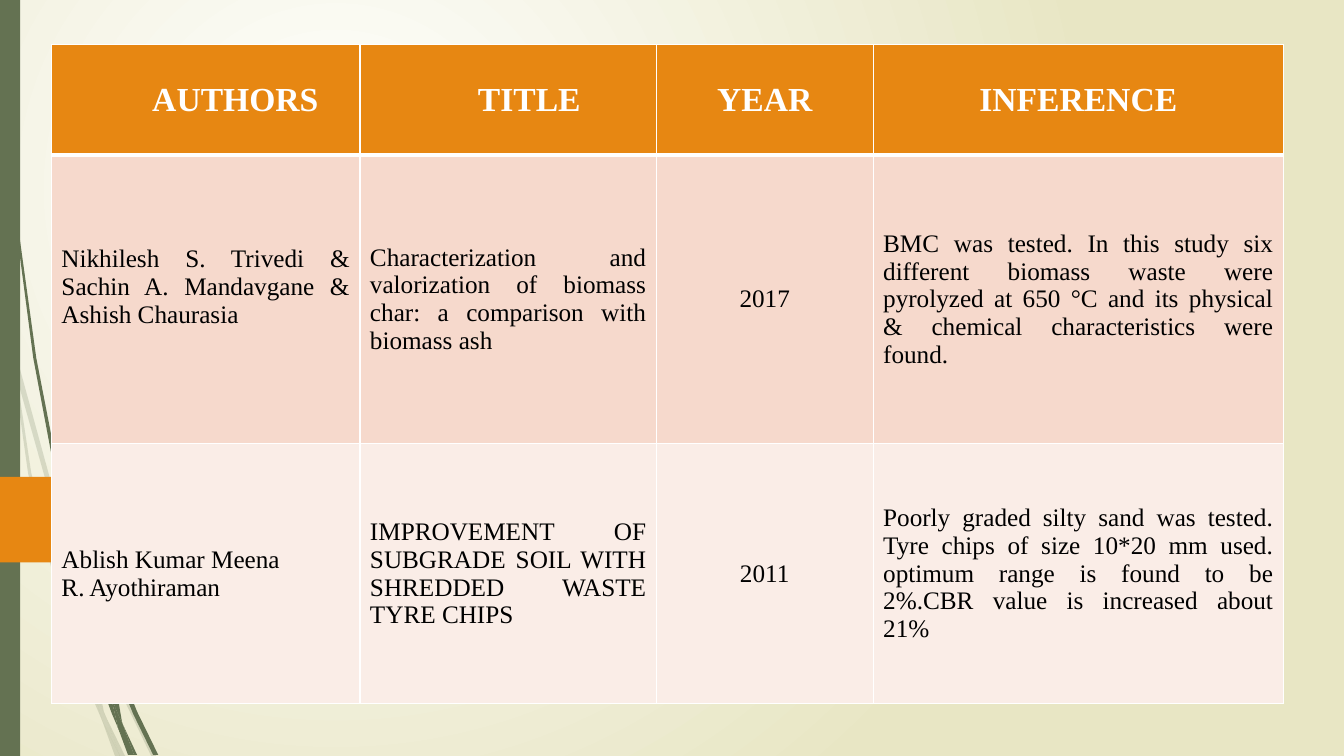
from dataclasses import dataclass

from lxml import etree
from pptx import Presentation
from pptx.dml.color import RGBColor
from pptx.enum.shapes import MSO_SHAPE
from pptx.enum.text import MSO_ANCHOR, PP_ALIGN
from pptx.oxml.ns import qn
from pptx.util import Inches, Pt

RECT = MSO_SHAPE.RECTANGLE
MIDDLE = MSO_ANCHOR.MIDDLE
CENTER, LEFT, JUSTIFY = PP_ALIGN.CENTER, PP_ALIGN.LEFT, PP_ALIGN.JUSTIFY

WHITE = RGBColor(0xFF, 0xFF, 0xFF)
BLACK = RGBColor(0, 0, 0)
CREAM = RGBColor(0xE8, 0xE6, 0xC4)
GREEN = RGBColor(0x64, 0x72, 0x52)
ORANGE = RGBColor(0xE7, 0x87, 0x12)
PEACH = RGBColor(0xF6, 0xD9, 0xCC)
BLUSH = RGBColor(0xFA, 0xED, 0xE7)

COLS = (3.06, 2.94, 2.15, 4.07)
ROWS = (1.1, 2.86, 2.58)
FILLS = (ORANGE, PEACH, BLUSH)
HEAD = {"name": "Times New Roman", "size": Pt(24), "bold": True}
BODY = {"name": "Times New Roman", "size": Pt(18), "bold": False}

PALE = (
    "0.11,3.5 0.09,3.22 0,2.82 0,2.99 0.1,3.44",
    "0.58,5.22 0.84,5.99 0.85,5.86 0.62,5.2 0.14,3.45 0.17,3.76",
    "0.92,6.07 0.88,5.96 0.88,6.1 1.23,6.94 1.5,7.5 1.55,7.5 1.27,6.92",
    "1.19,7.5 1.24,7.5 1.05,7.11",
    "0.93,6.83 0.7,6.19 0.31,4.69 0.17,3.76 0.11,3.5 0.28,4.7 0.65,6.21 0.92,6.93 1.01,7.14 0.99,7.07",
    "0.84,5.99 0.87,6.46 0.93,6.83 0.96,6.92 1.05,7.11 1.03,7.06 0.91,6.46 0.88,6.1 0.88,6.08",
    "0.88,5.84 1.1,4.62 1.6,3.49 2.29,2.45 2.68,1.98 2.9,1.75 3.12,1.54 3.12,1.53 "
    "2.89,1.75 2.68,1.97 2.28,2.44 1.58,3.48 1.07,4.61 0.85,5.84 0.85,5.86 0.88,5.96",
    "1.01,7.14 1.14,7.5 1.19,7.5",
    "0.88,6.08 0.88,6.1 0.88,5.96 0.85,5.86 0.84,5.99",
    "0.96,6.92 0.93,6.83 0.99,7.07 1.01,7.14 1.19,7.5 1.05,7.11",
)
DARK = (
    "0.07,1.1 0.17,2.33 0.33,3.55 0.56,4.77 0.57,4.81 0.55,4.57 0.55,4.53 0.36,3.55 "
    "0.19,2.32 0.08,1.09 0.05,0.48 0.04,0 0.03,0 0.04,0.48",
    "0.88,5.92 1.06,6.45 1.06,6.33 1.06,6.31 0.93,5.9 0.6,4.72 0.64,5.05",
    "1.13,6.49 1.1,6.41 1.11,6.56 1.32,7.08 1.52,7.49 1.57,7.49 1.36,7.06",
    "1.1,6.91 0.98,6.57 0.72,5.56 0.64,5.05 0.57,4.77 0.68,5.57 0.93,6.59 1.11,7.08 1.17,7.22 1.16,7.17",
    "0.6,4.72 0.58,4.53 0.54,3.49 0.58,2.45 0.63,1.93 0.7,1.41 0.62,1.93 0.56,2.45 0.52,3.49 0.55,4.49",
    "1.33,7.49 1.36,7.49 1.22,7.19",
    "0.57,4.77 0.64,5.05 0.6,4.72 0.55,4.49 0.55,4.53",
    "1.11,6.33 1.25,5.52 1.58,4.76 2.05,4.06 2.31,3.74 2.45,3.59 2.61,3.44 2.6,3.44 "
    "2.45,3.58 2.31,3.73 2.04,4.05 1.56,4.74 1.22,5.51 1.06,6.31 1.1,6.41",
    "1.17,7.22 1.27,7.49 1.31,7.49",
    "1.06,6.45 1.1,6.91 1.16,7.06 1.22,7.19 1.21,7.16 1.11,6.56 1.09,6.51",
    "1.06,6.45 1.09,6.51 1.11,6.56 1.1,6.41 1.06,6.31 1.06,6.33",
    "1.16,7.06 1.1,6.91 1.16,7.17 1.17,7.22 1.3,7.49 1.33,7.49 1.22,7.19",
)
ARROW = "1.47,5.58 1.51,5.56 1.9,5.17 1.91,5.15 1.9,5.13 1.51,4.74 1.47,4.73 0,4.73 0,5.58"


@dataclass
class Entry:
    text: str
    align: PP_ALIGN = JUSTIFY
    indent: float = 0
    foot: float = 0.05


GRID = (
    (Entry("AUTHORS", LEFT, 0.9), Entry("TITLE", LEFT, 1.07), Entry("YEAR", CENTER), Entry("INFERENCE", CENTER)),
    (Entry("Nikhilesh S. Trivedi & Sachin A. Mandavgane & Ashish Chaurasia", foot=0.29),
     Entry("Characterization and valorization of biomass char: a comparison with biomass ash"),
     Entry("2017", CENTER),
     Entry("BMC was tested. In this study six different biomass waste were pyrolyzed at 650 °C "
           "and its physical & chemical characteristics were found.")),
    (Entry("Ablish Kumar Meena\nR. Ayothiraman"),
     Entry("IMPROVEMENT OF SUBGRADE SOIL WITH SHREDDED WASTE TYRE CHIPS"),
     Entry("2011", CENTER),
     Entry("Poorly graded silty sand was tested. Tyre chips of size 10*20 mm used. "
           "optimum range is found to be 2%.CBR value is increased about 21%")),
)


def paint(shape, color: RGBColor, alpha: int = 100) -> None:
    shape.shadow.inherit = False
    shape.fill.solid()
    shape.fill.fore_color.rgb = color
    shape.line.fill.background()
    if alpha < 100:
        tone = shape._element.spPr.find(qn("a:solidFill")).find(qn("a:srgbClr"))
        etree.SubElement(tone, qn("a:alpha"), val=str(alpha * 1000))


def draw_form(slide, data: str, color: RGBColor, alpha: int = 100) -> None:
    dots = [tuple(Inches(float(num)) for num in pair.split(",")) for pair in data.split()]
    pen = slide.shapes.build_freeform(*dots[0])
    pen.add_line_segments(dots[1:], close=True)
    paint(pen.convert_to_shape(), color, alpha)


def draw_back(slide) -> None:
    fill = slide.background.fill
    fill.gradient()
    for stop, color in zip(fill.gradient_stops, (WHITE, CREAM)):
        stop.color.rgb = color
    grad = slide._element.find(".//" + qn("a:gradFill"))
    grad.remove(grad.find(qn("a:lin")))
    ring = etree.Element(qn("a:path"), path="circle")
    etree.SubElement(ring, qn("a:fillToRect"), l="50000", t="50000", r="100000", b="100000")
    grad.find(qn("a:gsLst")).addnext(ring)


def edge_cell(cell, row: int) -> None:
    props = cell._tc.get_or_add_tcPr()
    for i, side in enumerate(("lnL", "lnR", "lnT", "lnB")):
        thick = (row, side) in ((0, "lnB"), (1, "lnT"))
        line = etree.Element(qn("a:" + side), w=str(Pt(3 if thick else 1)))
        tone = etree.SubElement(etree.SubElement(line, qn("a:solidFill")), qn("a:srgbClr"))
        tone.set("val", str(WHITE))
        props.insert(i, line)


def fill_cell(cell, entry: Entry, row: int) -> None:
    cell.fill.solid()
    cell.fill.fore_color.rgb = FILLS[row]
    edge_cell(cell, row)
    cell.vertical_anchor = MIDDLE
    cell.margin_bottom = Inches(entry.foot)
    cell.text_frame.text = entry.text
    for para in cell.text_frame.paragraphs:
        para.alignment = entry.align
        if entry.indent:
            para._p.get_or_add_pPr().set("marL", str(Inches(entry.indent)))
        font = para.runs[0].font
        for key, value in (BODY if row else HEAD).items():
            setattr(font, key, value)
        font.color.rgb = BLACK if row else WHITE


def draw_table(slide) -> None:
    table = slide.shapes.add_table(len(ROWS), len(COLS), Inches(0.51), Inches(0.44),
                                   Inches(sum(COLS)), Inches(sum(ROWS))).table
    for col, width in zip(table.columns, COLS):
        col.width = Inches(width)
    for i, height in enumerate(ROWS):
        table.rows[i].height = Inches(height)
        for j, entry in enumerate(GRID[i]):
            fill_cell(table.cell(i, j), entry, i)


def main() -> None:
    deck = Presentation()
    deck.slide_width, deck.slide_height = Inches(13.33), Inches(7.5)
    slide = deck.slides.add_slide(deck.slide_layouts[6])
    draw_back(slide)
    for data in PALE:
        draw_form(slide, data, GREEN, 20)
    for data in DARK:
        draw_form(slide, data, GREEN)
    paint(slide.shapes.add_shape(RECT, 0, 0, Inches(0.2), Inches(7.5)), GREEN)
    draw_form(slide, ARROW, ORANGE)
    draw_table(slide)
    deck.save("out.pptx")


if __name__ == "__main__":
    main()
